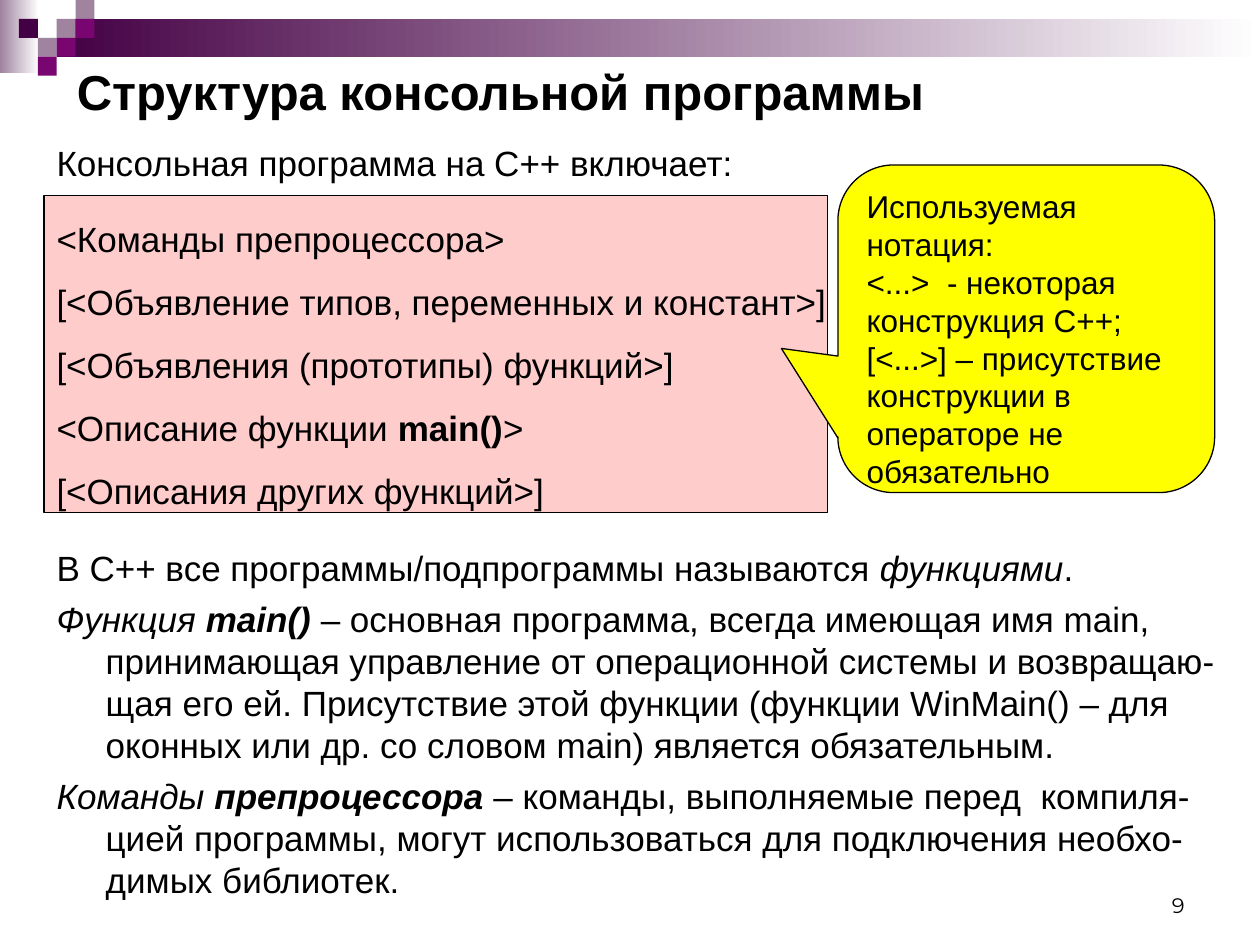
"""Build the slide on the structure of a console program."""
import pptx
import pptx.dml.color
import pptx.enum.shapes
import pptx.enum.text
import pptx.util

Inches = pptx.util.Inches
MSO_SHAPE = pptx.enum.shapes.MSO_SHAPE
ANCHOR = pptx.enum.text.MSO_ANCHOR
ALIGN = pptx.enum.text.PP_ALIGN

COLORS = {
    "text": "000000", "white": "FFFFFF", "dark": "440044", "violet": "790571",
    "mauve": "9F839F", "pink": "FFCCCC", "yellow": "FFFF00",
}
BOLD = {"bold": True}
ITALIC = {"italic": True}
BOLD_ITALIC = {**BOLD, **ITALIC}


class SlideBuilder:
    """Hold the text style and the current slide."""

    def __init__(self, prs):
        self.font = {"name": "Arial", "bold": False, "italic": False}
        self.slide = prs.slides.add_slide(prs.slide_layouts[5])

    def color(self, name):
        return pptx.dml.color.RGBColor.from_string(COLORS[name])

    def fill_text(self, sp, paragraphs, size, font=None, para=None, gap=0, indent=0,
                  anchor=ANCHOR.TOP, wrap=True):
        tf = sp.text_frame
        frame = {"word_wrap": wrap, "vertical_anchor": anchor,
                 "auto_size": pptx.enum.text.MSO_AUTO_SIZE.NONE,
                 "margin_left": Inches(0.1), "margin_right": Inches(0.1),
                 "margin_top": Inches(0.05), "margin_bottom": Inches(0.05)}
        for key, value in frame.items():
            setattr(tf, key, value)
        for i, runs in enumerate(paragraphs):
            p = tf.add_paragraph() if i else tf.paragraphs[0]
            for key, value in {"alignment": ALIGN.LEFT, **(para or {})}.items():
                setattr(p, key, value)
            if gap and i:
                p.space_before = pptx.util.Pt(gap)
            if indent:
                pPr = p._p.get_or_add_pPr()
                pPr.set("marL", str(Inches(indent)))
                pPr.set("indent", str(-Inches(indent)))
            for text, style in [(runs, {})] if isinstance(runs, str) else runs:
                r = p.add_run()
                r.text = text
                r.font.size = pptx.util.Pt(size)
                r.font.color.rgb = self.color("text")
                for key, value in {**self.font, **(font or {}), **style}.items():
                    setattr(r.font, key, value)

    def title(self, box, text, size):
        sp = self.slide.shapes.title
        for key, value in zip(("left", "top", "width", "height"), box):
            setattr(sp, key, Inches(value))
        self.fill_text(sp, [text], size, BOLD)

    def text(self, box, paragraphs, size, **style):
        sp = self.slide.shapes.add_textbox(*map(Inches, box))
        self.fill_text(sp, paragraphs, size, **style)

    def shape(self, box, fill, kind=MSO_SHAPE.RECTANGLE, outlined=False):
        sp = self.slide.shapes.add_shape(kind, *map(Inches, box))
        sp.shadow.inherit = False
        sp.fill.solid()
        sp.fill.fore_color.rgb = self.color(fill)
        if outlined:
            sp.line.color.rgb = self.color("text")
            sp.line.width = pptx.util.Pt(0.75)
        else:
            sp.line.fill.background()
        return sp

    def fade(self, box, start):
        sp = self.shape(box, start)
        sp.fill.gradient()
        sp.fill.gradient_angle = 0
        for stop, name, position in zip(sp.fill.gradient_stops, (start, "white"), (0, 1)):
            stop.color.rgb = self.color(name)
            stop.position = position


def main():
    prs = pptx.Presentation()
    prs.slide_width, prs.slide_height = Inches(10), Inches(7.5)
    s = SlideBuilder(prs)

    s.fade((0, 0, 0.31, 0.58), "mauve")
    s.fade((0.45, 0.15, 9.55, 0.3), "dark")
    tile = 0.15
    for column, row, fill in [(3, 1, "mauve"), (4, 0, "mauve"), (4, 1, "violet"),
                              (2, 2, "mauve"), (1, 1, "dark"), (3, 2, "violet"),
                              (2, 3, "violet")]:
        s.shape((column * tile, row * tile, tile, tile), fill)

    s.text((7.17, 6.83, 2.33, 0.5), ["9"], 12, font={"name": "Montserrat"},
           para={"alignment": ALIGN.RIGHT}, anchor=ANCHOR.BOTTOM)
    s.text((0.35, 4.29, 9.45, 2.93), [
        [("В С++ все программы/подпрограммы называются ", {}), ("функциями", ITALIC), (".", {})],
        [("Функция ", ITALIC), ("main() ", BOLD_ITALIC),
         ("– основная программа, всегда имеющая имя main, принимающая управление от "
          "операционной системы и возвращаю-щая его ей. Присутствие этой функции "
          "(функции WinMain() – для оконных или др. со словом main) является "
          "обязательным.", {})],
        [("Команды", ITALIC), (" препроцессора", BOLD_ITALIC),
         (" – команды, выполняемые перед  компиля-цией программы, могут использоваться "
          "для подключения необхо-димых библиотек.", {})],
    ], 20, gap=5, indent=0.39)

    structure = s.shape((0.35, 1.55, 6.22, 2.52), "pink", outlined=True)
    s.fill_text(structure, [
        "<Команды препроцессора>",
        "[<Объявление типов, переменных и констант>]",
        "[<Объявления (прототипы) функций>]",
        [("<Описание функции ", {}), ("main()", BOLD), (">", {})],
        "[<Описания других функций>]",
    ], 20, para={"line_spacing": 1.5}, anchor=ANCHOR.MIDDLE, wrap=False)

    s.title((0.51, 0.44, 8.98, 0.57), "Структура консольной программы", 28)
    s.text((0.35, 1.07, 8.58, 0.44), ["Консольная программа на С++ включает:"], 20)

    notation = s.shape((6.65, 1.31, 2.99, 2.6), "yellow",
                       MSO_SHAPE.ROUNDED_RECTANGULAR_CALLOUT, outlined=True)
    for i, value in enumerate((-0.65, 0.06, 0.17)):
        notation.adjustments[i] = value
    s.fill_text(notation, [
        "Используемая нотация:",
        "<...>  - некоторая конструкция С++;",
        "[<...>] – присутствие конструкции в операторе не обязательно",
    ], 18)

    prs.save("out.pptx")


if __name__ == "__main__":
    main()
